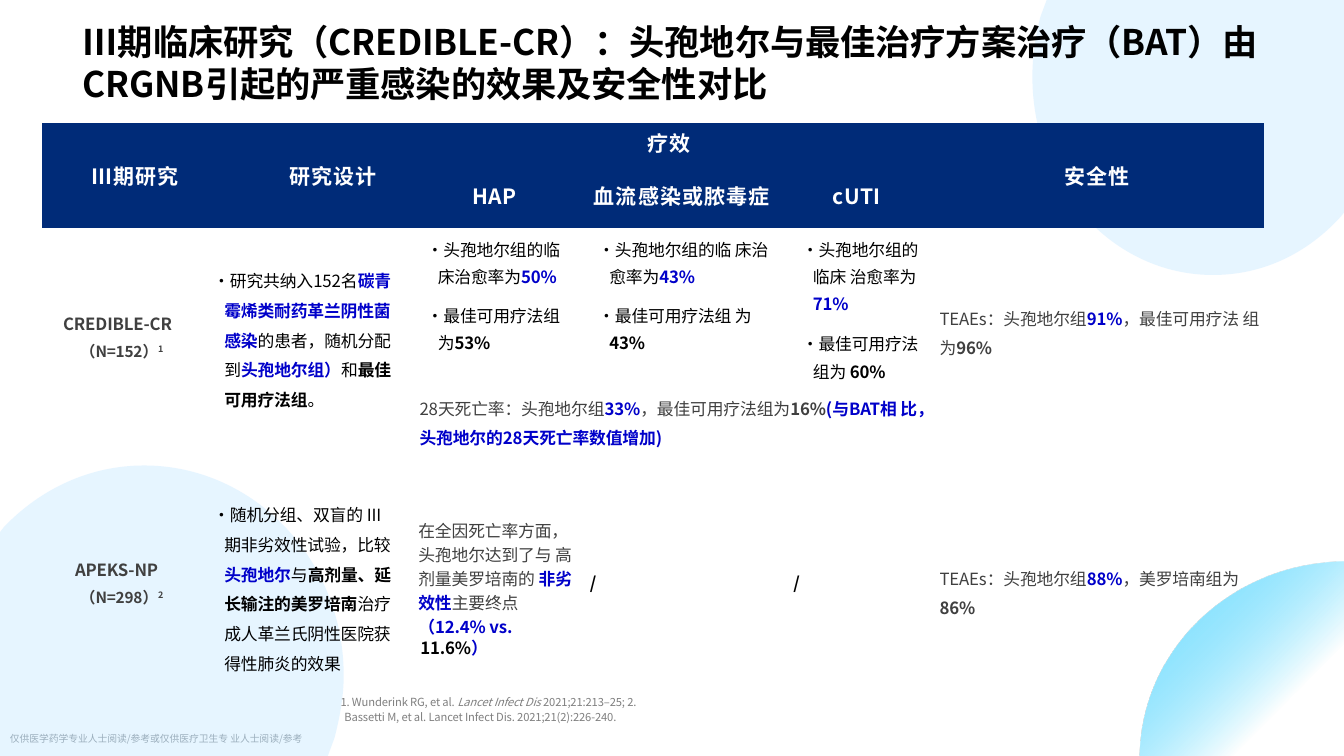
import dataclasses
from typing import Any

import lxml.etree
import pptx
import pptx.dml.color
import pptx.enum.text
import pptx.oxml.ns
import pptx.util

Cm = pptx.util.Cm
Pt = pptx.util.Pt
qn = pptx.oxml.ns.qn
Align = pptx.enum.text.PP_ALIGN
Anchor = pptx.enum.text.MSO_ANCHOR
NO_STYLE_TABLE = "{2D5ABB26-0587-4C30-8999-92F81FD0307C}"


@dataclasses.dataclass(frozen=True)
class Theme:
    font: str = "Noto Sans CJK SC"
    black: str = "000000"
    white: str = "FFFFFF"
    grey: str = "404040"
    blue: str = "0000C9"
    navy: str = "002B78"
    pale: str = "CFECFF"
    cyan: str = "8BE3FF"
    deep_cyan: str = "0EC6FF"
    note: str = "7F7F7F"
    disclaimer: str = "66707A"
    title_size: float = 25.2
    header_size: float = 15
    body_size: float = 12
    count_size: float = 11
    note_size: float = 8
    disclaimer_size: float = 7


THEME = Theme()


@dataclasses.dataclass(frozen=True)
class Run:
    text: str
    color: str = THEME.grey
    bold: bool = False
    size: float = THEME.body_size
    spacing: float = -0.1
    italic: bool = False
    superscript: bool = False


@dataclasses.dataclass(frozen=True)
class Paragraph:
    runs: list[Run]
    line_spacing: float | pptx.util.Length = 1.0
    left: float = 0
    hanging: float = 0
    bullet: bool = False
    before: float = 0
    align: Any = Align.LEFT


@dataclasses.dataclass(frozen=True)
class Cell:
    row: int
    column: int
    paragraphs: list[Paragraph]
    top: float = 0
    right: float = 0
    rows: int = 1
    columns: int = 1
    header: bool = False


@dataclasses.dataclass(frozen=True)
class Disc:
    """Part of a disc: a segment of one point is a line, of three a Bézier curve."""
    start: tuple[float, float]
    segments: list[list[tuple[float, float]]]
    gradient: bool = False


def black(text: str, bold: bool = False) -> Run:
    return Run(text, THEME.black, bold)


def blue(text: str) -> Run:
    return Run(text, THEME.blue, True)


def bullet(runs: list[Run], line_spacing: float = 1.1, before: float = 0) -> Paragraph:
    return Paragraph(runs, line_spacing, 0.74, -0.28, True, before)


def header(row: int, column: int, text: str, left: float = 0, rows: int = 1, columns: int = 1) -> Cell:
    run = Run(text, THEME.white, True, THEME.header_size, 0.2 if text.isascii() else 0.8)
    return Cell(row, column, [Paragraph([run], left=left, align=Align.CENTER)],
                rows=rows, columns=columns, header=True)


def study(row: int, name: str, count: str, reference: str, top: float, hanging: float, rows: int = 1) -> Cell:
    runs = [Run(name + " ", bold=True), Run(count, bold=True, size=THEME.count_size, spacing=-0.2),
            Run(reference, bold=True, size=THEME.count_size, superscript=True)]
    return Cell(row, 0, [Paragraph(runs, 1.17, 0.97, hanging)], top, rows=rows)


def cure_rates(column: int, group: str, rate: str, best: str, best_rate: str,
               right: float = 0.25, best_spacing: float = 1.1) -> Cell:
    return Cell(2, column, [bullet([black(group), blue(rate)]),
                            bullet([black(best), black(best_rate, True)], best_spacing, 8.5)], 0.17, right)


def safety(row: int, rate: str, other: str, other_rate: str, top: float, rows: int = 1) -> Cell:
    runs = [Run("TEAEs：头孢地尔组"), blue(rate), Run(other), Run(other_rate, bold=True)]
    return Cell(row, 5, [Paragraph(runs, 1.2, 0.25)], top, rows=rows)


def no_result(column: int) -> Cell:
    return Cell(4, column, [Paragraph([black("/", True)], Pt(15.8), 0.25)], 2.19)


COLUMN_WIDTHS = [3.86, 5.38, 4.32, 5.13, 3.68, 8.43]
ROW_HEIGHTS = [0.97, 1.68, 3.86, 2.57, 5.56]
CELLS = [
    header(0, 0, "Ⅲ期研究", 0.84, rows=2),
    header(0, 1, "研究设计", 1.57, rows=2),
    header(0, 2, "疗效", columns=3),
    header(0, 5, "安全性", rows=2),
    header(1, 2, "HAP"),
    header(1, 3, "血流感染或脓毒症"),
    header(1, 4, "cUTI"),
    study(2, "CREDIBLE-CR", "（N=152）", "1", 1.98, -0.43, rows=2),
    Cell(2, 1, [bullet([
        black("研究共纳入152名"), blue("碳青 霉烯类耐药革兰阴性菌 感染"), black("的患者，随机分配 到"),
        blue("头孢地尔组）"), black("和"), black("最佳 可用疗法组", True), black("。")], 1.22)],
        0.87, 0.25, rows=2),
    cure_rates(2, "头孢地尔组的临 床治愈率为", "50%", "最佳可用疗法组 为", "53%"),
    cure_rates(3, "头孢地尔组的临 床治愈率为", "43%", "最佳可用疗法组 为", "43%"),
    cure_rates(4, "头孢地尔组的临床 治愈率为", "71%", "最佳可用疗法组为 ", "60%", 0.13, 1.16),
    safety(2, "91%", "，最佳可用疗法 组为", "96%", 1.84, rows=2),
    Cell(3, 2, [Paragraph([
        Run("28天死亡率：头孢地尔组"), blue("33%"), Run("，最佳可用疗法组为"), Run("16%", bold=True),
        blue("(与BAT相 比，头孢地尔的28天死亡率数值增加)")], 1.18, 0.28)], 0.2, 0.25, columns=3),
    study(4, "APEKS-NP", "（N=298）", "2", 1.69, -0.13),
    Cell(4, 1, [bullet([
        black("随机分组、双盲的 III 期非劣效性试验，比较 "), blue("头孢地尔"), black("与"),
        black("高剂量、延 长输注的美罗培南", True), black("治疗 成人革兰氏阴性医院获 得性肺炎的效果")], 1.22)],
        0.28, 0.25),
    Cell(4, 2, [
        Paragraph([Run("在全因死亡率方面，头孢地尔达到了与 高剂量美罗培南的 "), blue("非劣效性"),
                   Run("主要终点")], 0.98, 0.25),
        Paragraph([blue("（12.4% vs.")], 0.98, 0.25),
        Paragraph([black("11.6%", True), blue("）")], Pt(15.1), 0.3)], 0.83),
    no_result(3),
    no_result(4),
    safety(4, "88%", "，美罗培南组为 ", "86%", 1.89),
]
DISCS = [
    Disc((3.63, 11.73), [[(6.4, 11.73), (8.66, 14.1), (8.66, 17.02)], [(8.66, 17.55), (8.56, 18.08), (8.43, 18.59)],
                         [(8.26, 19.05)], [(0, 19.05)], [(0, 13.41)], [(0.1, 13.28)],
                         [(1.02, 12.32), (2.26, 11.73), (3.63, 11.73)]]),
    Disc((26.37, 0), [[(33.86, 0)], [(33.86, 5.36)], [(33.78, 5.46)], [(32.94, 6.38), (31.83, 6.93), (30.56, 6.93)],
                      [(28.04, 6.93), (26.01, 4.7), (26.01, 1.93)], [(26.01, 1.42), (26.09, 0.91), (26.21, 0.43)]]),
    Disc((33.93, 14.15), [[(33.93, 19.13)], [(28.7, 19.13)], [(28.73, 18.64)],
                          [(28.98, 16.1), (31.22, 14.15), (33.93, 14.15)]], gradient=True),
]
TITLE = "Ⅲ期临床研究（CREDIBLE-CR）：头孢地尔与最佳治疗方案治疗（BAT）由CRGNB引起的严重感染的效果及安全性对比"
DISCLAIMER = "仅供医学药学专业人士阅读/参考或仅供医疗卫生专 业人士阅读/参考"
REFERENCES = [("1. Wunderink RG, et al. ", False), ("Lancet Infect Dis", True),
              (" 2021;21:213–25; 2. Bassetti M, et al. Lancet Infect Dis. 2021;21(2):226-240.", False)]


def apply(target: Any, values: dict[str, Any]) -> None:
    for name, value in values.items():
        setattr(target, name, value)


def rgb(color: str) -> pptx.dml.color.RGBColor:
    return pptx.dml.color.RGBColor.from_string(color)


def add_child(parent: Any, tag: str, **attributes: str) -> None:
    lxml.etree.SubElement(parent, qn(tag), attributes)


def write(frame: Any, paragraphs: list[Paragraph]) -> None:
    for index, item in enumerate(paragraphs):
        paragraph = frame.add_paragraph() if index else frame.paragraphs[0]
        apply(paragraph, {"alignment": item.align, "line_spacing": item.line_spacing,
                          "space_before": Pt(item.before), "space_after": Pt(0)})
        properties = paragraph._p.get_or_add_pPr()
        properties.set("marL", str(Cm(item.left)))
        properties.set("indent", str(Cm(item.hanging)))
        if item.bullet:
            add_child(properties, "a:buFont", typeface=THEME.font)
            add_child(properties, "a:buChar", char="•")
        for part in item.runs:
            run = paragraph.add_run()
            run.text = part.text
            apply(run.font, {"name": THEME.font, "size": Pt(part.size), "bold": part.bold, "italic": part.italic})
            run.font.color.rgb = rgb(part.color)
            character = run.font._element
            character.set("spc", str(round(part.spacing * 100)))
            if part.superscript:
                character.set("baseline", "28000")
            add_child(character, "a:ea", typeface=THEME.font)


def add_disc(slide: Any, disc: Disc) -> None:
    builder = slide.shapes.build_freeform(Cm(disc.start[0]), Cm(disc.start[1]))
    builder.add_line_segments([(Cm(x), Cm(y)) for segment in disc.segments for x, y in segment])
    shape = builder.convert_to_shape()
    lines = iter(list(shape._element.spPr.iter(qn("a:lnTo"))))
    for segment in disc.segments:
        first, *others = [next(lines) for _ in segment]
        if others:
            curve = lxml.etree.Element(qn("a:cubicBezTo"))
            first.addprevious(curve)
            for line in (first, *others):
                curve.append(line[0])
                line.getparent().remove(line)
    shape.shadow.inherit = False
    shape.line.fill.background()
    if disc.gradient:
        shape.fill.gradient()
        shape.fill.gradient_angle = 315
        for stop, position, color in zip(shape.fill.gradient_stops, (0.15, 0.71), (THEME.cyan, THEME.deep_cyan)):
            stop.position = position
            stop.color.rgb = rgb(color)
    else:
        shape.fill.solid()
        shape.fill.fore_color.rgb = rgb(THEME.pale)
    last_color = list(shape._element.spPr.iter(qn("a:srgbClr")))[-1]
    add_child(last_color, "a:alpha", val="0" if disc.gradient else "50000")


def add_text(slide: Any, left: float, top: float, width: float, height: float, paragraph: Paragraph) -> None:
    frame = slide.shapes.add_textbox(Cm(left), Cm(top), Cm(width), Cm(height)).text_frame
    apply(frame, {"word_wrap": True, "margin_left": 0, "margin_right": 0, "margin_top": 0, "margin_bottom": 0})
    write(frame, [paragraph])


def add_title(slide: Any) -> None:
    title = slide.shapes.title
    apply(title, {"left": Cm(1.83), "top": Cm(0.61), "width": Cm(30.18), "height": Cm(2.18)})
    apply(title.text_frame, {"word_wrap": True, "auto_size": pptx.enum.text.MSO_AUTO_SIZE.NONE,
                             "vertical_anchor": Anchor.BOTTOM, "margin_top": 0, "margin_bottom": Cm(0.15)})
    write(title.text_frame, [Paragraph([Run(TITLE, THEME.black, True, THEME.title_size)])])
    slide.shapes._spTree.append(title._element)  # in front of the discs


def add_study_table(slide: Any) -> None:
    frame = slide.shapes.add_table(len(ROW_HEIGHTS), len(COLUMN_WIDTHS), Cm(1.05), Cm(3.1),
                                   Cm(sum(COLUMN_WIDTHS)), Cm(sum(ROW_HEIGHTS)))
    table = frame.table
    apply(table, {"first_row": False, "horz_banding": False})
    table._tbl.tblPr.find(qn("a:tableStyleId")).text = NO_STYLE_TABLE
    for column, width in zip(table.columns, COLUMN_WIDTHS):
        column.width = Cm(width)
    for row, height in zip(table.rows, ROW_HEIGHTS):
        row.height = Cm(height)
    for cell in table.iter_cells():
        apply(cell, {"margin_left": 0, "margin_right": 0, "margin_top": 0, "margin_bottom": 0})
        cell.fill.background()
    for item in CELLS:
        cell = table.cell(item.row, item.column)
        if item.rows > 1 or item.columns > 1:
            cell.merge(table.cell(item.row + item.rows - 1, item.column + item.columns - 1))
        apply(cell, {"margin_top": Cm(item.top), "margin_right": Cm(item.right),
                     "vertical_anchor": Anchor.MIDDLE if item.header else Anchor.TOP})
        if item.header:
            cell.fill.solid()
            cell.fill.fore_color.rgb = rgb(THEME.navy)
        write(cell.text_frame, item.paragraphs)


def main() -> None:
    presentation = pptx.Presentation()
    apply(presentation, {"slide_width": Cm(33.86), "slide_height": Cm(19.05)})
    slide = presentation.slides.add_slide(presentation.slide_layouts[5])
    add_text(slide, 0.25, 18.47, 28.5, 0.45,
             Paragraph([Run(DISCLAIMER, THEME.disclaimer, size=THEME.disclaimer_size, spacing=0)]))
    for disc in DISCS:
        add_disc(slide, disc)
    add_title(slide)
    add_study_table(slide)
    references = [Run(text, THEME.note, size=THEME.note_size, italic=italic) for text, italic in REFERENCES]
    add_text(slide, 8.53, 17.48, 8.03, 0.79, Paragraph(references, Pt(10.7), 0.15, -0.1))
    presentation.save("out.pptx")


if __name__ == "__main__":
    main()
